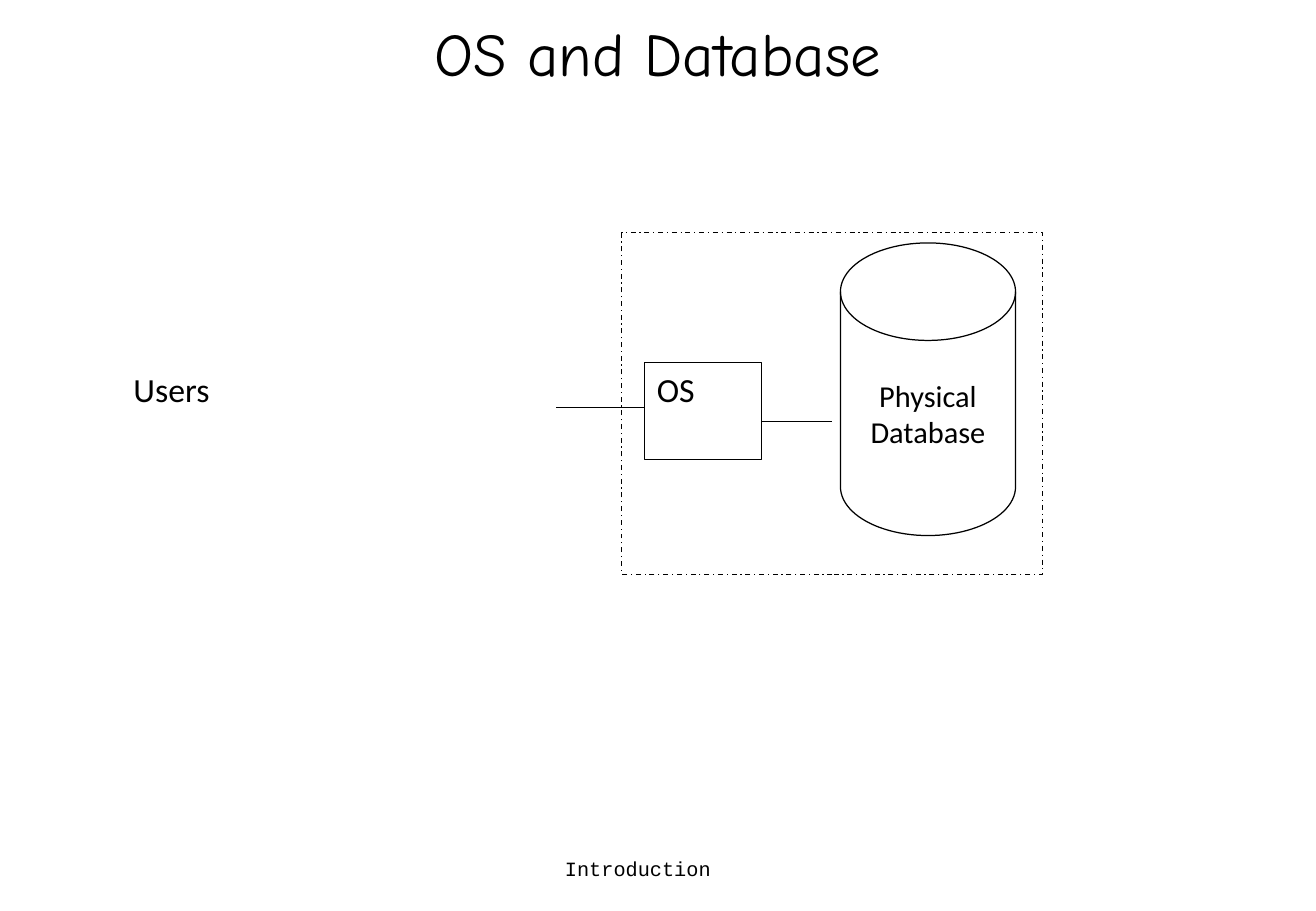
from dataclasses import dataclass

from lxml import etree
from pptx import Presentation
from pptx.dml.color import RGBColor
from pptx.enum import dml, shapes, text
from pptx.oxml import ns
from pptx.util import Cm, Pt


@dataclass(frozen=True)
class Theme:
    ink: RGBColor = RGBColor(0, 0, 0)
    paper: RGBColor = RGBColor(255, 255, 255)
    line: float = 0.75
    title: tuple = ("Comic Neue", 36)
    label: tuple = ("Calibri", 20)
    disk: tuple = ("Calibri", 18)
    footer: tuple = ("Courier New", 12)


THEME = Theme()
LEFT, CENTER = text.PP_ALIGN.LEFT, text.PP_ALIGN.CENTER
TOP, MIDDLE = text.MSO_ANCHOR.TOP, text.MSO_ANCHOR.MIDDLE
RECTANGLE = shapes.MSO_SHAPE.RECTANGLE
DISK = shapes.MSO_SHAPE.FLOWCHART_MAGNETIC_DISK

# Lengths in centimetres: left, top, width, height
SLIDE_SIZE = (27.51, 19.05)
FRAME = (13, 4.87, 8.8, 7.14)
DATABASE = (17.57, 5.08, 3.66, 6.12)
USERS = (2.54, 7.58, 3.66, 2.03)
SYSTEM = (13.48, 7.58, 2.44, 2.03)

TEXTS = [
    ("OS and Database", (2.95, 0.2, 21.59, 3.18), THEME.title),
    ("Introduction", (9.31, 17.78, 8.05, 1.27), THEME.footer),
]
SYSTEM_RIGHT = SYSTEM[0] + SYSTEM[2]
LINKS = [  # start x, end x, y
    (11.63, SYSTEM[0], 8.52),
    (SYSTEM_RIGHT, 17.4, 8.81),
]


def write(shape, wording, style, alignment, anchor=TOP):
    frame = shape.text_frame
    frame.word_wrap = True
    frame.vertical_anchor = anchor
    frame.text = wording
    paragraph = frame.paragraphs[0]
    paragraph.alignment = alignment
    font = paragraph.runs[0].font
    font.name, size = style
    font.size = Pt(size)
    font.color.rgb = THEME.ink


def outline(item):
    item.line.color.rgb = THEME.ink
    item.line.width = Pt(THEME.line)


def add_part(slide, kind, box):
    shape = slide.shapes.add_shape(kind, *map(Cm, box))
    shape.shadow.inherit = False
    shape.fill.solid()
    shape.fill.fore_color.rgb = THEME.paper
    outline(shape)
    return shape


def add_link(slide, start, end, y):
    link = slide.shapes.add_connector(
        shapes.MSO_CONNECTOR.STRAIGHT, Cm(start), Cm(y), Cm(end), Cm(y))
    outline(link)
    etree.SubElement(link._element.spPr, ns.qn("a:effectLst"))


def main():
    presentation = Presentation()
    presentation.slide_width, presentation.slide_height = map(Cm, SLIDE_SIZE)
    slide = presentation.slides.add_slide(presentation.slide_layouts[6])

    for wording, box, style in TEXTS:
        write(slide.shapes.add_textbox(*map(Cm, box)), wording, style, CENTER)

    frame = add_part(slide, RECTANGLE, FRAME)
    frame.line.dash_style = dml.MSO_LINE.DASH_DOT
    database = add_part(slide, DISK, DATABASE)
    write(database, "Physical Database", THEME.disk, CENTER, MIDDLE)
    users = add_part(slide, RECTANGLE, USERS)
    users.line.fill.background()
    write(users, "Users", THEME.label, LEFT)
    for link in LINKS:
        add_link(slide, *link)
    system = add_part(slide, RECTANGLE, SYSTEM)
    write(system, "OS", THEME.label, LEFT)

    presentation.save("out.pptx")


if __name__ == "__main__":
    main()
